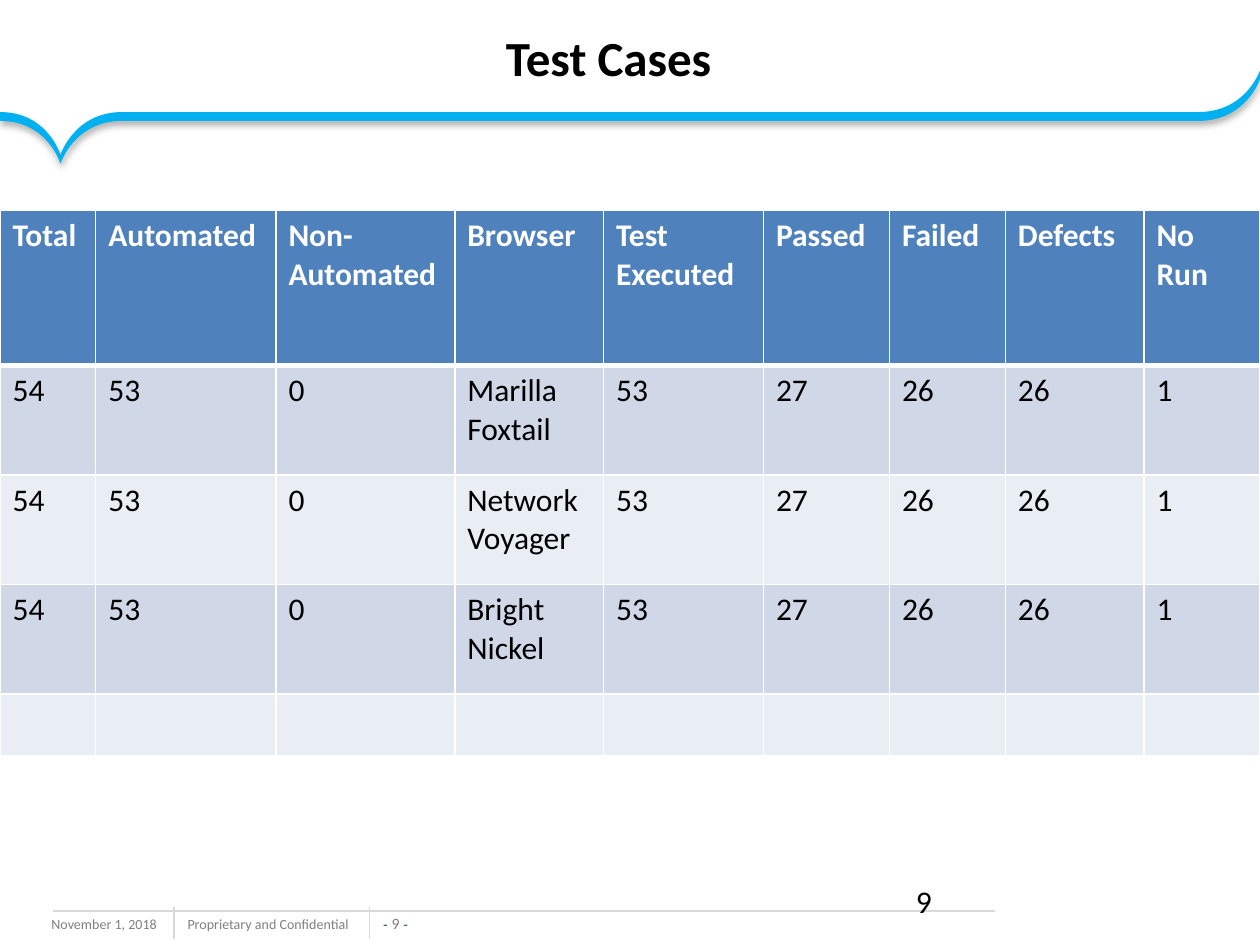
from lxml import etree
from pptx import Presentation
from pptx.dml.color import RGBColor
from pptx.enum.shapes import MSO_CONNECTOR
from pptx.enum.text import MSO_ANCHOR, PP_ALIGN
from pptx.oxml.ns import qn
from pptx.util import Inches, Pt

STRAIGHT = MSO_CONNECTOR.STRAIGHT
LEFT, CENTER = PP_ALIGN.LEFT, PP_ALIGN.CENTER
TOP, MIDDLE, BOTTOM = MSO_ANCHOR.TOP, MSO_ANCHOR.MIDDLE, MSO_ANCHOR.BOTTOM

BLACK = RGBColor(0x00, 0x00, 0x00)
WHITE = RGBColor(0xFF, 0xFF, 0xFF)
GRAY = RGBColor(0x80, 0x80, 0x80)
RULE_GRAY = RGBColor(0xD9, 0xD9, 0xD9)
NAVY = RGBColor(0x1F, 0x49, 0x7D)
SKY = RGBColor(0x00, 0xB0, 0xF0)
HEADER_BLUE = RGBColor(0x4F, 0x81, 0xBD)
BANDS = (RGBColor(0xD0, 0xD8, 0xE8), RGBColor(0xE9, 0xED, 0xF4))

HEADERS = ["Total", "Automated", "Non-Automated", "Browser", "Test Executed",
           "Passed", "Failed", "Defects", "No Run"]
BROWSERS = ["Marilla Foxtail", "Network Voyager", "Bright Nickel"]
COLUMN_WIDTHS = [0.76, 1.43, 1.42, 1.18, 1.27, 1, 0.92, 1.1, 0.92]
ROW_HEIGHTS = [1.23, 0.87, 0.87, 0.87, 0.49]

RIBBON_THICKNESS = 0.07
# Upper edge from left to right: anchor, two control points, anchor, and so on.
RIBBON_EDGE = [
    (0, 0.89), (0.38, 0.89), (0.48, 1.23),
    (0.48, 1.23), (0.48, 1.23), (0.59, 0.89),
    (0.97, 0.89), (0.97, 0.89), (9.51, 0.89),
    (9.51, 0.89), (9.89, 0.89), (10, 0.56),
    (10, 0.56),
]


class SlideBuilder:
    """Holds the current slide and its type style."""
    font = "Calibri"

    def __init__(self, page):
        self.page = page
        self.shapes = page.shapes

    def format_span(self, span, size, color, bold=False, font=None):
        span.font.name = font or self.font
        span.font.size = Pt(size)
        span.font.bold = bold
        span.font.color.rgb = color

    def title(self, text, left, top, width, height):
        box = self.shapes.title
        box.left, box.top = Inches(left), Inches(top)
        box.width, box.height = Inches(width), Inches(height)
        box.text_frame.text = text
        box.text_frame.vertical_anchor = MIDDLE
        para = box.text_frame.paragraphs[0]
        para.alignment = CENTER
        self.format_span(para.runs[0], 28, BLACK, bold=True)

    def text(self, spans, left, top, width, height, wrap=True, align=LEFT,
             anchor=TOP, inset=None):
        """Add one line of text; spans are (text, size, color, font) tuples."""
        box = self.shapes.add_textbox(Inches(left), Inches(top), Inches(width), Inches(height))
        frame = box.text_frame
        frame.word_wrap = wrap
        frame.vertical_anchor = anchor
        if inset is not None:
            frame.margin_left = frame.margin_right = Inches(inset)
            frame.margin_top = frame.margin_bottom = Inches(inset)
        para = frame.paragraphs[0]
        para.alignment = align
        for text, size, color, font in spans:
            span = para.add_run()
            span.text = text
            self.format_span(span, size, color, font=font)

    def rule(self, x1, y1, x2, y2):
        line = self.shapes.add_connector(STRAIGHT, Inches(x1), Inches(y1), Inches(x2), Inches(y2))
        line.line.color.rgb = RULE_GRAY
        line.line.width = Pt(0.75)
        etree.SubElement(line._element.spPr, qn("a:effectLst"))

    def ribbon(self, edge, thickness):
        """Draw a band below a curved edge, with a soft shadow."""
        upper = [(Inches(x), Inches(y)) for x, y in edge]
        lower = [(x, y + Inches(thickness)) for x, y in reversed(upper)]
        anchors = upper[::3] + lower[::3]
        builder = self.shapes.build_freeform(*anchors[0])
        builder.add_line_segments(anchors[1:], close=True)
        shape = builder.convert_to_shape()
        self.bend(shape, upper, lower)
        shape.fill.solid()
        shape.fill.fore_color.rgb = SKY
        shape.line.fill.background()
        shape.shadow.inherit = False
        effects = shape._element.spPr.find(qn("a:effectLst"))
        shadow = etree.SubElement(effects, qn("a:outerShdw"), blurRad=str(Pt(4)),
                                  dist=str(Pt(2)), dir="5400000", rotWithShape="0")
        color = etree.SubElement(shadow, qn("a:srgbClr"), val=str(BLACK))
        etree.SubElement(color, qn("a:alpha"), val="31000")

    def bend(self, shape, *edges):
        """Turn the segments along each edge into curves; joins between edges stay straight."""
        segments = list(shape._element.spPr.iter(qn("a:lnTo")))
        count = len(edges[0]) // 3
        for number, edge in enumerate(edges):
            first = number * (count + 1)
            for index, segment in enumerate(segments[first:first + count]):
                segment.tag = qn("a:cubicBezTo")
                controls = edge[index * 3 + 1:index * 3 + 3]
                for position, (x, y) in enumerate(controls):
                    point = segment.makeelement(
                        qn("a:pt"), {"x": str(x - shape.left), "y": str(y - shape.top)})
                    segment.insert(position, point)

    def cell_borders(self, cell, top, bottom):
        properties = cell._tc.get_or_add_tcPr()
        for side, width in (("L", 1), ("R", 1), ("T", top), ("B", bottom)):
            line = etree.SubElement(properties, qn(f"a:ln{side}"), w=str(Pt(width)))
            fill = etree.SubElement(line, qn("a:solidFill"))
            etree.SubElement(fill, qn("a:srgbClr"), val=str(WHITE))

    def table(self, rows, left, top, widths, heights):
        frame = self.shapes.add_table(len(rows), len(widths), Inches(left), Inches(top),
                                      Inches(sum(widths)), Inches(sum(heights)))
        table = frame.table
        for column, width in zip(table.columns, widths):
            column.width = Inches(width)
        for row, height in zip(table.rows, heights):
            row.height = Inches(height)
        for r, values in enumerate(rows):
            header = r == 0
            for c, value in enumerate(values):
                cell = table.cell(r, c)
                self.cell_borders(cell, top=3 if r == 1 else 1, bottom=3 if header else 1)
                cell.fill.solid()
                cell.fill.fore_color.rgb = HEADER_BLUE if header else BANDS[(r - 1) % 2]
                cell.text_frame.text = value
                for span in cell.text_frame.paragraphs[0].runs:
                    self.format_span(span, 18, WHITE if header else BLACK, bold=header)


def main():
    deck = Presentation()
    deck.slide_width, deck.slide_height = Inches(10), Inches(7.5)
    slide = SlideBuilder(deck.slides.add_slide(deck.slide_layouts[5]))

    slide.text([("November 1, 2018", 8, GRAY, None)], 0.31, 7.22, 1.33, 0.25)
    slide.text([("Proprietary and Confidential", 8, GRAY, None)],
               1.39, 7.22, 1.57, 0.24, wrap=False)
    slide.text([("- ", 8, NAVY, "Arial"), ("9 ", 9, GRAY, None), ("-", 8, NAVY, "Arial")],
               3.01, 7.25, 0.26, 0.15, wrap=False, align=CENTER, anchor=BOTTOM, inset=0)
    for x in (1.38, 2.93):
        slide.rule(x, 7.2, x, 7.45)
    slide.rule(7.9, 7.23, 0.42, 7.23)

    slide.ribbon(RIBBON_EDGE, RIBBON_THICKNESS)
    slide.title("Test Cases", 0.33, 0.02, 9, 0.87)
    slide.text([("9", 18, BLACK, None)], 7.17, 6.95, 2.33, 0.4)

    results = [["54", "53", "0", browser, "53", "27", "26", "26", "1"] for browser in BROWSERS]
    rows = [HEADERS, *results, [""] * len(HEADERS)]
    slide.table(rows, 0, 1.67, COLUMN_WIDTHS, ROW_HEIGHTS)

    deck.save("out.pptx")


if __name__ == "__main__":
    main()
